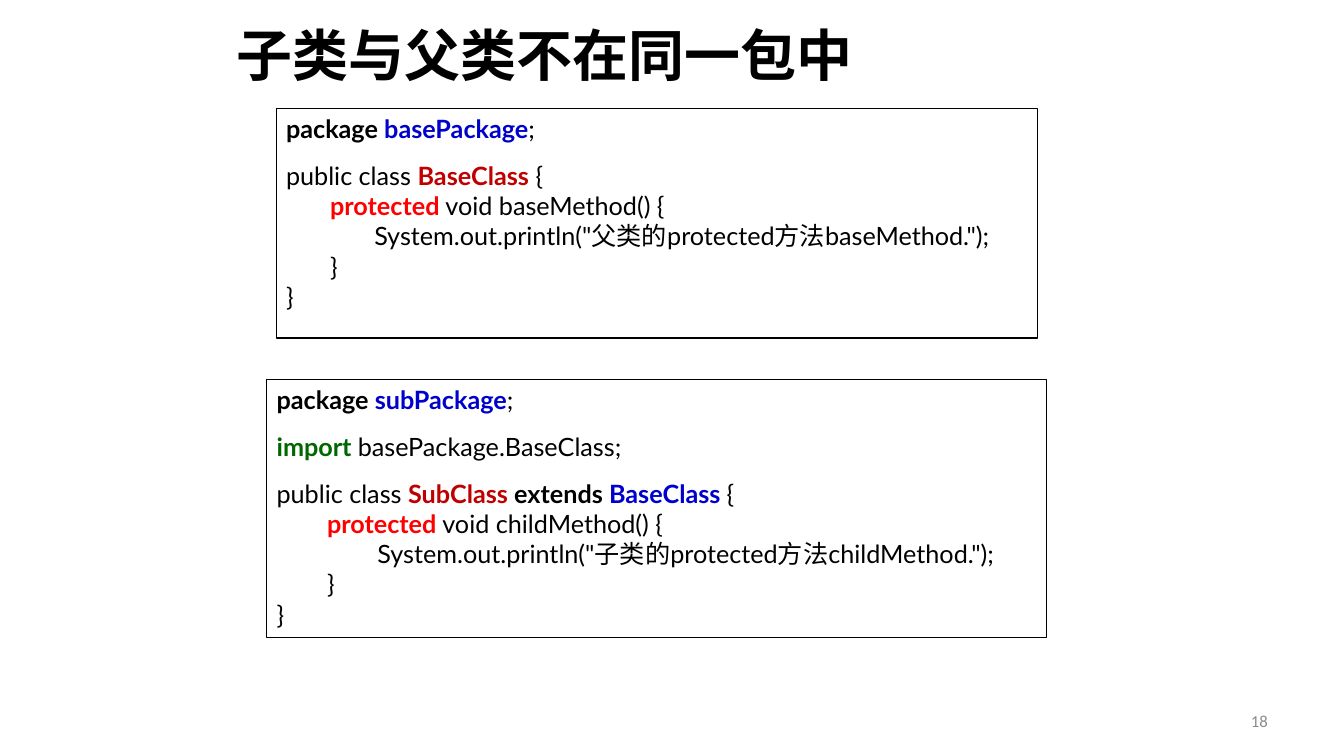
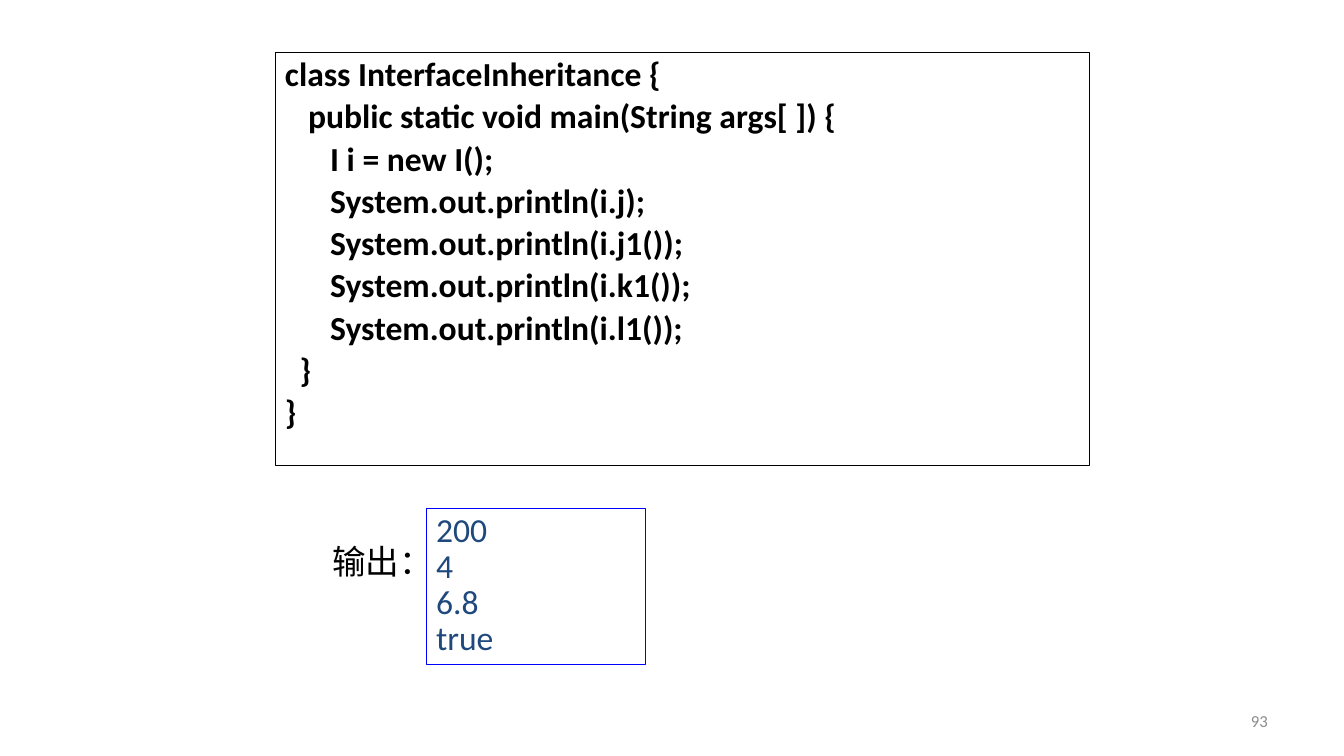
from dataclasses import dataclass

from pptx import Presentation
from pptx.dml.color import RGBColor
from pptx.enum.shapes import MSO_SHAPE
from pptx.enum.text import MSO_ANCHOR, PP_ALIGN
from pptx.util import Emu, Pt


@dataclass(frozen=True)
class Theme:
    black: str = "000000"
    keyword: str = "FF0000"
    declared: str = "C00000"
    referenced: str = "0000CC"
    imported: str = "006600"
    output: str = "1F497D"
    output_line: str = "0000FF"
    muted: str = "8C8C8C"
    body_font: str = "Calibri"
    code_font: str = "Lato"
    title_size: int = 40
    large_size: int = 24
    code_size: int = 18
    number_size: int = 12
    line_width: float = 0.75


@dataclass(frozen=True)
class Span:
    text: str
    color: str = Theme.black
    bold: bool = False


@dataclass(frozen=True)
class Line:
    spans: tuple
    indent: int = 0
    before: float = 0


def px(length):
    return Emu(length * 9525)


def plain(text, indent=0, before=0):
    return Line((Span(text),), indent, before)


class SlideBuilder:
    def __init__(self, theme):
        self.theme = theme
        self.deck = Presentation()
        self.deck.slide_width, self.deck.slide_height = px(1280), px(720)
        self.page = None

    def new_page(self, number):
        self.page = self.deck.slides.add_slide(self.deck.slide_layouts[6])
        line = Line((Span(str(number), self.theme.muted),))
        self.text((918, 667, 299, 38), [line], self.theme.number_size,
                  anchor=MSO_ANCHOR.MIDDLE, align=PP_ALIGN.RIGHT)

    def title(self, text):
        self.text((216, 16, 856, 72), [Line((Span(text, bold=True),))],
                  self.theme.title_size, anchor=MSO_ANCHOR.MIDDLE)

    def text(self, bounds, lines, size, wrap=True, anchor=MSO_ANCHOR.TOP, align=PP_ALIGN.LEFT):
        box = self.page.shapes.add_textbox(*map(px, bounds))
        self.fill_text(box, lines, self.theme.body_font, size,
                       wrap=wrap, anchor=anchor, align=align)

    def panel(self, bounds, lines, font, size, spacing=None, border=Theme.black):
        box = self.page.shapes.add_shape(MSO_SHAPE.RECTANGLE, *map(px, bounds))
        box.shadow.inherit = False
        box.fill.background()
        box.line.color.rgb = RGBColor.from_string(border)
        box.line.width = Pt(self.theme.line_width)
        self.fill_text(box, lines, font, size, spacing)

    def fill_text(self, box, lines, font, size, spacing=None, wrap=True,
                  anchor=MSO_ANCHOR.TOP, align=PP_ALIGN.LEFT):
        frame = box.text_frame
        frame.word_wrap = wrap
        frame.vertical_anchor = anchor
        for index, line in enumerate(lines):
            para = frame.add_paragraph() if index else frame.paragraphs[0]
            para.alignment = align
            para.line_spacing = spacing
            para.space_before = Pt(line.before)
            if line.indent:
                para._p.get_or_add_pPr().set("marL", str(px(line.indent)))
            for span in line.spans:
                run = para.add_run()
                run.text = span.text
                run.font.name = font
                run.font.size = Pt(size)
                run.font.bold = span.bold
                run.font.color.rgb = RGBColor.from_string(span.color)


def package_line(name):
    return Line((Span("package ", bold=True), Span(name, Theme.referenced, True), Span(";")))


def class_lines(heading, method, statement, indent):
    return [
        Line((Span("public class "), *heading), before=12),
        Line((Span("protected", Theme.keyword, True), Span(f" void {method}() {{")), indent),
        plain(statement, 2 * indent),
        plain("}", indent),
        plain("}"),
    ]


def package_page(builder):
    theme = builder.theme
    builder.new_page(18)
    builder.title("子类与父类不在同一包中")
    base_heading = (Span("BaseClass", theme.declared, True), Span(" {"))
    base = [package_line("basePackage")] + class_lines(
        base_heading, "baseMethod",
        'System.out.println("父类的protected方法baseMethod.");', 42)
    builder.panel((263, 103, 725, 219), base, theme.code_font, theme.code_size)

    sub_heading = (Span("SubClass ", theme.declared, True), Span("extends ", bold=True),
                   Span("BaseClass ", theme.referenced, True), Span("{"))
    import_line = Line((Span("import ", theme.imported, True),
                        Span("basePackage.BaseClass;")), before=12)
    sub = [package_line("subPackage"), import_line] + class_lines(
        sub_heading, "childMethod",
        'System.out.println("子类的protected方法childMethod.");', 48)
    builder.panel((254, 361, 743, 246), sub, theme.code_font, theme.code_size)


def interface_page(builder):
    theme = builder.theme
    builder.new_page(93)
    calls = [f"System.out.println(i.{member});" for member in ("j", "j1()", "k1()", "l1()")]
    code = [
        (0, "class InterfaceInheritance {"),
        (22, "public static void main(String args[ ]) {"),
        (43, "I i = new I();"),
        *((43, call) for call in calls),
        (14, "}"),
        (0, "}"),
    ]
    lines = [Line((Span(text, bold=True),), indent, 4.3 if row else 0)
             for row, (indent, text) in enumerate(code)]
    builder.panel((262, 50, 776, 393), lines, theme.body_font, theme.large_size, 0.9)

    results = [Line((Span(value, theme.output),)) for value in ("200", "4", "6.8", "true")]
    builder.panel((406, 484, 209, 149), results, theme.body_font, theme.large_size, 0.9,
                  theme.output_line)
    builder.text((307, 510, 115, 48), [plain("输出：")], theme.large_size, wrap=False)


def main():
    builder = SlideBuilder(Theme())
    package_page(builder)
    interface_page(builder)
    builder.deck.save("out.pptx")


if __name__ == "__main__":
    main()
